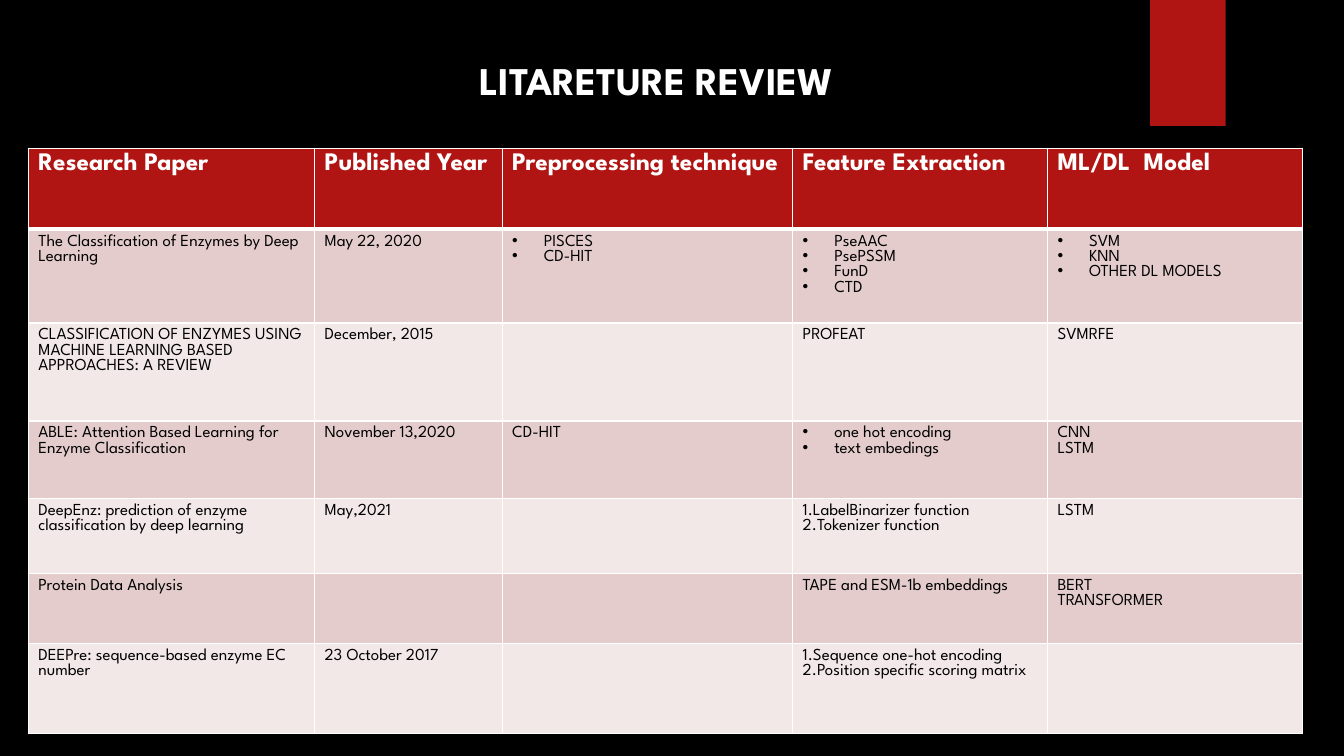
from pptx import Presentation
from pptx.dml.color import RGBColor
from pptx.enum import shapes, text
from pptx.oxml import parse_xml
from pptx.oxml.ns import nsdecls
from pptx.util import Pt

COLORS = {
    "black": "000000",
    "white": "FFFFFF",
    "red": "B01513",
    "dark band": "E4CCCC",
    "light band": "F2E8E7",
}
FONT = "League Spartan"
BULLET = "•"
BULLET_INDENT = Pt(22.5)

COLUMN_WIDTHS = [204.5, 134, 207.5, 182, 182]
ROW_HEIGHTS = [58, 67, 70, 55.5, 53.5, 50, 64.5]
HEADERS = ["Research Paper", "Published Year", "Preprocessing technique",
           "Feature Extraction", "ML/DL  Model"]
PAPERS = [
    ["The Classification of Enzymes by Deep Learning", "May 22, 2020",
     "•PISCES\n•CD-HIT", "•PseAAC\n•PsePSSM\n•FunD\n•CTD",
     "•SVM\n•KNN\n•OTHER DL MODELS"],
    ["CLASSIFICATION OF ENZYMES USING MACHINE LEARNING BASED APPROACHES: A REVIEW",
     "December, 2015", "", "PROFEAT", "SVMRFE"],
    ["ABLE: Attention Based Learning for Enzyme Classification",
     "November 13,2020", "CD-HIT", "•one hot encoding\n•text embedings",
     "CNN\nLSTM"],
    ["DeepEnz: prediction of enzyme classification by deep learning", "May,2021",
     "", "1.LabelBinarizer function\n2.Tokenizer function", "LSTM"],
    ["Protein Data Analysis", "", "", "TAPE and ESM-1b embeddings",
     "BERT\nTRANSFORMER"],
    ["DEEPre: sequence-based enzyme EC number", "23 October 2017", "",
     "1.Sequence one-hot encoding\n2.Position specific scoring matrix", ""],
]


def paint(fill, color):
    fill.solid()
    fill.fore_color.rgb = RGBColor.from_string(COLORS[color])


def add_bullet(para):
    properties = para._p.get_or_add_pPr()
    properties.set("marL", str(BULLET_INDENT))
    properties.set("indent", str(-BULLET_INDENT))
    properties.append(parse_xml(f'<a:buChar {nsdecls("a")} char="{BULLET}"/>'))


def write(frame, content, size, color, bold=False):
    """Fill a text frame, one paragraph a line; a leading bullet makes a list item."""
    for index, line in enumerate(content.split("\n")):
        para = frame.paragraphs[0] if index == 0 else frame.add_paragraph()
        para.alignment = text.PP_ALIGN.LEFT
        if line.startswith(BULLET):
            add_bullet(para)
        span = para.add_run()
        span.text = line.removeprefix(BULLET)
        span.font.name = FONT
        span.font.size = Pt(size)
        span.font.bold = bold
        span.font.color.rgb = RGBColor.from_string(COLORS[color])


def add_borders(cell, top=1, bottom=1):
    properties = cell._tc.get_or_add_tcPr()
    for side, width in (("L", 1), ("R", 1), ("T", top), ("B", bottom)):
        properties.append(parse_xml(
            f'<a:ln{side} {nsdecls("a")} w="{Pt(width)}"><a:solidFill>'
            f'<a:srgbClr val="{COLORS["white"]}"/></a:solidFill></a:ln{side}>'))


def add_title(page, content):
    title = page.shapes.title
    title.left, title.top, title.width, title.height = Pt(335.5), Pt(36.5), Pt(386), Pt(41)
    frame = title.text_frame
    frame.word_wrap = True
    frame.auto_size = text.MSO_AUTO_SIZE.NONE
    frame.vertical_anchor = text.MSO_ANCHOR.TOP
    write(frame, content, size=28, color="white", bold=True)


def add_ribbon(page):
    ribbon = page.shapes.add_shape(
        shapes.MSO_SHAPE.RECTANGLE, Pt(821.5), Pt(0), Pt(54), Pt(90))
    ribbon.shadow.inherit = False
    paint(ribbon.fill, "red")
    ribbon.line.fill.background()


def add_review_table(page):
    table = page.shapes.add_table(
        len(ROW_HEIGHTS), len(COLUMN_WIDTHS), Pt(20.2), Pt(105.8),
        Pt(sum(COLUMN_WIDTHS)), Pt(sum(ROW_HEIGHTS))).table
    for column, width in zip(table.columns, COLUMN_WIDTHS):
        column.width = Pt(width)
    for row, height in zip(table.rows, ROW_HEIGHTS):
        row.height = Pt(height)
    for row_index, entries in enumerate([HEADERS] + PAPERS):
        is_header = row_index == 0
        band = "dark band" if row_index % 2 else "light band"
        for column_index, entry in enumerate(entries):
            cell = table.cell(row_index, column_index)
            add_borders(cell, top=3 if row_index == 1 else 1,
                        bottom=3 if is_header else 1)
            paint(cell.fill, "red" if is_header else band)
            write(cell.text_frame, entry, size=18 if is_header else 12,
                  color="white" if is_header else "black", bold=is_header)


def main():
    deck = Presentation()
    deck.slide_width, deck.slide_height = Pt(960), Pt(540)
    page = deck.slides.add_slide(deck.slide_layouts.get_by_name("Title Only"))
    paint(page.background.fill, "black")
    add_ribbon(page)
    add_review_table(page)
    add_title(page, "LITARETURE REVIEW")
    deck.save("out.pptx")


if __name__ == "__main__":
    main()
